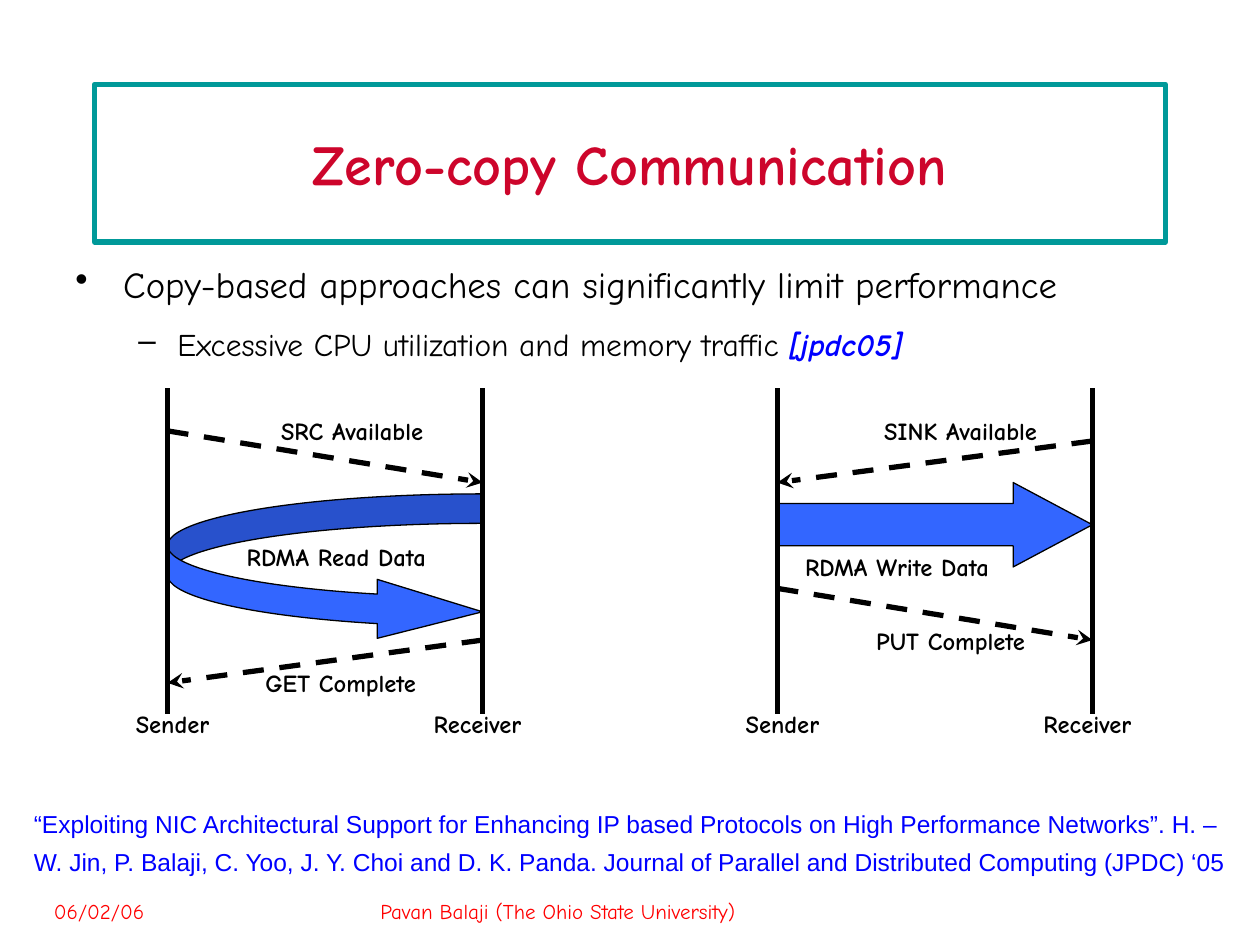
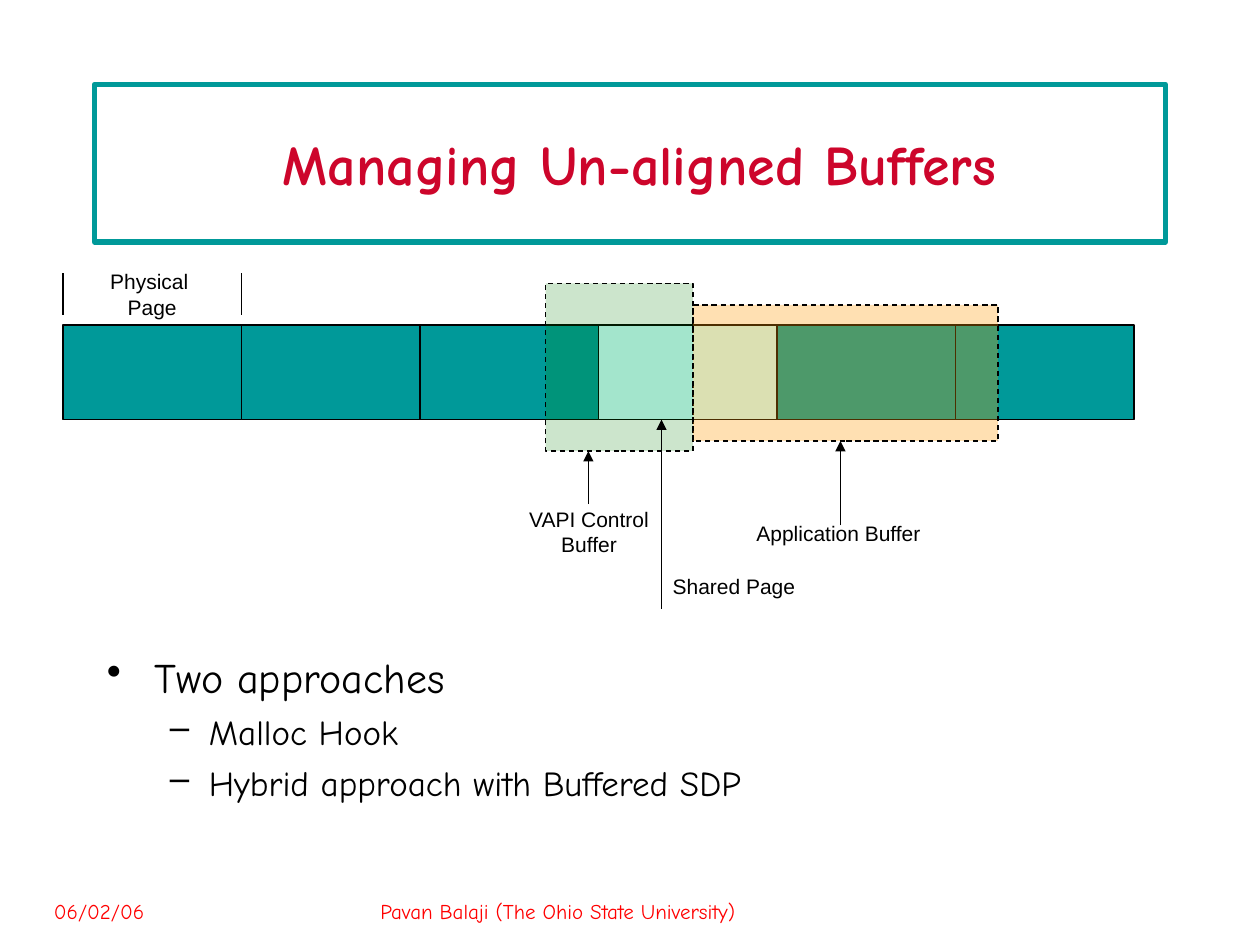
from lxml.etree import SubElement
from pptx import Presentation
from pptx.dml.color import RGBColor
from pptx.enum.dml import MSO_LINE as Dash
from pptx.enum.shapes import MSO_CONNECTOR as Connector, MSO_SHAPE as Shape
from pptx.enum.text import MSO_ANCHOR as Anchor, PP_ALIGN as Align
from pptx.oxml.ns import qn
from pptx.util import Inches, Pt

COLORS = {
    "white": "FFFFFF", "black": "000000", "teal": "009999", "title": "CD052B",
    "footer": "FF0000", "link": "0000FF", "data": "3366FF", "shared": "CCFFFF",
    "control": "008000", "application": "FF9900",
}
HAND, SANS = "Comic Neue", "Arial"
FOOTER = {"name": HAND, "size": Pt(12), "color": "footer"}
TITLE = {"name": HAND, "size": Pt(32), "bold": True, "color": "title"}
MESSAGE = {"name": HAND, "size": Pt(14), "bold": True, "color": "black"}
CITATION = {"name": SANS, "size": Pt(14), "color": "link"}
CALLOUT = {"name": SANS, "size": Pt(12), "color": "black"}
REFERENCE = {"bold": True, "italic": True, "color": "link"}
BULLETS = [("•", 0.38, 0.38), ("–", 0.81, 0.31)]


def rgb(name):
    return RGBColor.from_string(COLORS[name])


def add_run(paragraph, text, style):
    run = paragraph.add_run()
    run.text = text
    for attribute, value in style.items():
        if attribute == "color":
            run.font.color.rgb = rgb(value)
        else:
            setattr(run.font, attribute, value)


def write(frame, lines, style, align=Align.LEFT, **paragraph_format):
    for index, line in enumerate(lines):
        paragraph = frame.paragraphs[0] if index == 0 else frame.add_paragraph()
        for attribute, value in {"alignment": align, **paragraph_format}.items():
            setattr(paragraph, attribute, value)
        add_run(paragraph, line, style)


def add_text_box(slide, box):
    frame = slide.shapes.add_textbox(*map(Inches, box)).text_frame
    frame.word_wrap = True
    return frame


def add_label(slide, box, text, style, align=Align.CENTER, **paragraph_format):
    write(add_text_box(slide, box), [text], style, align, **paragraph_format)


def add_bullets(slide, box, items, sizes, spacing=1.0):
    frame = add_text_box(slide, box)
    for index, (level, runs) in enumerate(items):
        paragraph = frame.paragraphs[0] if index == 0 else frame.add_paragraph()
        symbol, margin, hanging = BULLETS[level]
        properties = paragraph._p.get_or_add_pPr()
        properties.set("marL", str(Inches(margin)))
        properties.set("indent", str(-Inches(hanging)))
        SubElement(properties, qn("a:buChar"), char=symbol)
        paragraph.level = level
        paragraph.line_spacing = spacing
        if index:
            paragraph.space_before = Pt(5)
        base = {"name": HAND, "size": Pt(sizes[level]), "color": "black"}
        for text, extra in runs:
            add_run(paragraph, text, {**base, **extra})


def add_block(slide, kind, box, fill=None, line="black", width=0.75,
              adjustments=(), opacity=None, dash=None):
    block = slide.shapes.add_shape(kind, *map(Inches, box))
    block.shadow.inherit = False
    for index, value in enumerate(adjustments):
        block.adjustments[index] = value
    if fill:
        block.fill.solid()
        block.fill.fore_color.rgb = rgb(fill)
    else:
        block.fill.background()
    if opacity:
        color = block._element.spPr.find(qn("a:solidFill"))[0]
        SubElement(color, qn("a:alpha"), val=str(opacity * 1000))
    block.line.color.rgb = rgb(line)
    block.line.width = Pt(width)
    block.line.dash_style = dash
    return block


def add_line(slide, start, end, width=0.75, dash=None, arrowhead=None):
    line = slide.shapes.add_connector(
        Connector.STRAIGHT, *map(Inches, (*start, *end)))
    line.line.color.rgb = rgb("black")
    line.line.width = Pt(width)
    line.line.dash_style = dash
    properties = line._element.spPr
    if arrowhead:
        SubElement(properties.find(qn("a:ln")), qn("a:tailEnd"), type=arrowhead)
    SubElement(properties, qn("a:effectLst"))


def add_base(deck, title):
    slide = deck.slides.add_slide(deck.slide_layouts[6])
    add_label(slide, (0.33, 7.08, 2.33, 0.33), "06/02/06", FOOTER, Align.LEFT)
    add_label(slide, (2.92, 7.08, 4.17, 0.33),
              "Pavan Balaji (The Ohio State University)", FOOTER, Align.LEFT)
    banner = add_block(slide, Shape.RECTANGLE, (0.75, 0.67, 8.5, 1.25),
                       "white", "teal", 3).text_frame
    banner.word_wrap = True
    banner.vertical_anchor = Anchor.MIDDLE
    write(banner, [title], TITLE, Align.CENTER)
    return slide


def add_exchange(slide, sender, arrow, messages, labels):
    receiver = sender + 2.5
    kind, top, height, adjustments = arrow
    add_block(slide, kind, (sender, top, 2.5, height), "data",
              adjustments=adjustments)
    for start_x, start_y, end_x, end_y in messages:
        add_line(slide, (sender + start_x, start_y), (sender + end_x, end_y),
                 3, Dash.DASH, "stealth")
    for text, left, top, width in labels:
        add_label(slide, (left, top, width, 0.33), text, MESSAGE)
    for x, role, offset in ((sender, "Sender", 0.5), (receiver, "Receiver", 0.58)):
        add_line(slide, (x, 3.08), (x, 5.67), 3)
        add_label(slide, (x - offset, 5.58, 1.08, 0.33), role, MESSAGE)


def build_zero_copy(deck):
    slide = add_base(deck, "Zero-copy Communication")
    add_bullets(slide, (0.5, 1.92, 9, 1.08), [
        (0, [("Copy-based approaches can significantly limit performance", {})]),
        (1, [("Excessive CPU utilization and memory traffic ", {}),
             ("[jpdc05]", REFERENCE)]),
    ], (21, 18), 1.3)
    add_exchange(
        slide, 1.33, (Shape.CURVED_RIGHT_ARROW, 3.92, 1.17, (0.2, 0.4, 0.714)),
        [(0, 3.42, 2.5, 3.83), (2.5, 5.08, 0, 5.42)],
        [("SRC Available", 1.92, 3.25, 1.75),
         ("RDMA Read Data", 1.67, 4.25, 2),
         ("GET Complete", 1.83, 5.25, 1.75)])
    add_exchange(
        slide, 6.17, (Shape.RIGHT_ARROW, 3.83, 0.67, (0.5, 0.938)),
        [(2.5, 3.5, 0, 3.83), (0, 4.67, 2.5, 5.08)],
        [("SINK Available", 6.75, 3.25, 1.75),
         ("RDMA Write Data", 6.08, 4.33, 2.08),
         ("PUT Complete", 6.67, 4.92, 1.75)])
    add_label(slide, (0.17, 6.3, 9.75, 0.7),
              "“Exploiting NIC Architectural Support for Enhancing IP based "
              "Protocols on High Performance Networks”. H. –W. Jin, P. Balaji, "
              "C. Yoo, J. Y. Choi and D. K. Panda. Journal of Parallel and "
              "Distributed Computing (JPDC) ‘05",
              CITATION, Align.LEFT, line_spacing=1.3)


def build_unaligned_buffers(deck):
    slide = add_base(deck, " Managing Un-aligned Buffers")
    add_bullets(slide, (0.75, 5.12, 8.5, 1.8), [
        (0, [("Two approaches", {})]),
        (1, [("Malloc Hook", {})]),
        (1, [("Hybrid approach with Buffered SDP", {})]),
    ], (24, 20))
    page_width, shared_page = 8.5 / 6, 3
    for page in range(6):
        add_block(slide, Shape.RECTANGLE,
                  (0.5 + page * page_width, 2.58, page_width, 0.75),
                  "shared" if page == shared_page else "teal")
    page_span = add_block(slide, Shape.DOUBLE_BRACE, (0.5, 2.17, page_width, 0.33),
                          adjustments=(0,)).text_frame
    page_span.word_wrap = False
    page_span.vertical_anchor = Anchor.MIDDLE
    write(page_span, ["Physical ", "Page"], CALLOUT, Align.CENTER)
    for box, color, opacity in (
            ((4.33, 2.25, 1.17, 1.33), "control", 20),
            ((5.5, 2.42, 2.42, 1.08), "application", 30)):
        add_block(slide, Shape.RECTANGLE, box, color, opacity=opacity,
                  dash=Dash.DASH)
    for text, box, x, bottom, top in (
            ("VAPI Control Buffer", (4.1, 3.97, 1.15, 0.7), 4.67, 4, 3.58),
            ("Application Buffer", (5.83, 4.08, 1.65, 0.3), 6.67, 4.17, 3.5),
            ("Shared Page", (5, 4.5, 1.65, 0.3), 5.25, 4.83, 3.33)):
        add_line(slide, (x, bottom), (x, top), arrowhead="triangle")
        add_label(slide, box, text, CALLOUT)


def main():
    deck = Presentation()
    deck.slide_width, deck.slide_height = Inches(10), Inches(7.5)
    build_zero_copy(deck)
    build_unaligned_buffers(deck)
    deck.save("out.pptx")


if __name__ == "__main__":
    main()
